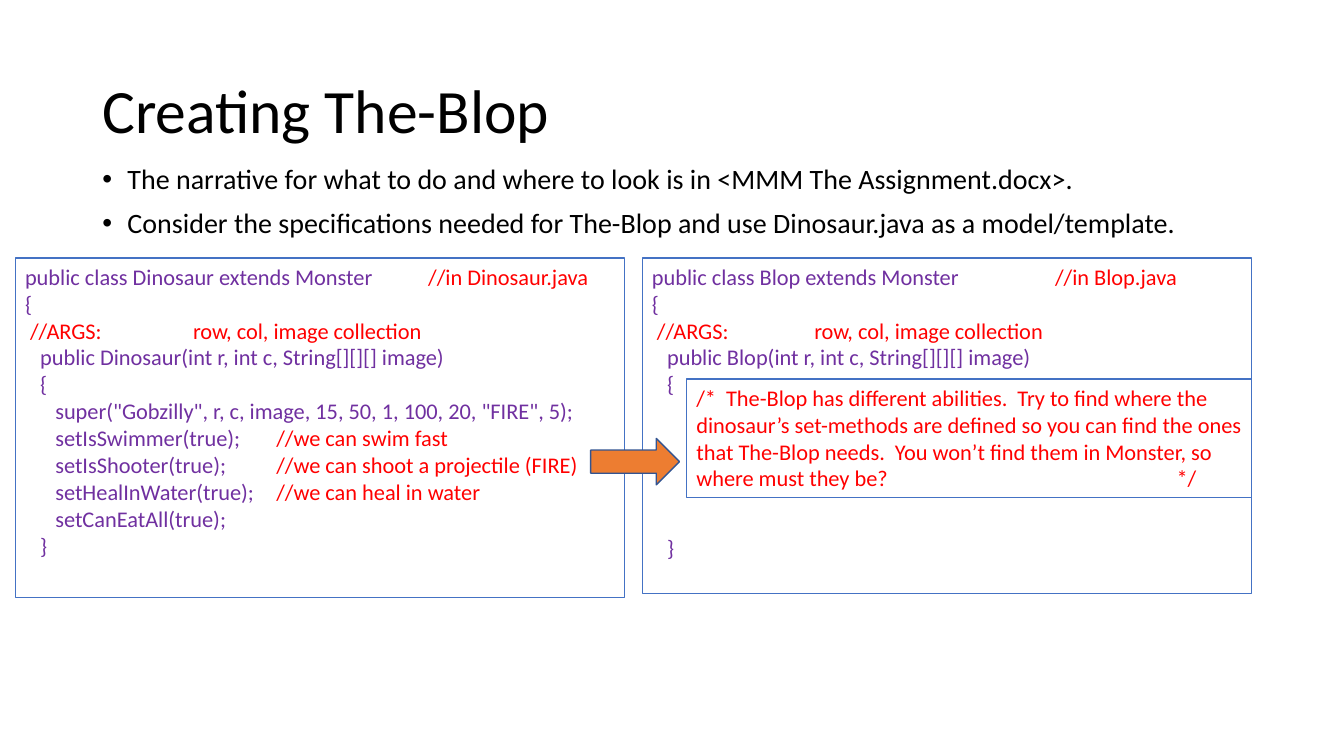
"""Builds the slide "Creating The-Blop" with two code panels and a hint."""
from lxml import etree
from pptx import Presentation
from pptx import util as u
from pptx.dml.color import RGBColor
from pptx.enum import shapes, text
from pptx.oxml import ns

FONT = "Calibri"
BLACK, PURPLE, RED = "000000", "7030A0", "FF0000"
BLUE, ORANGE, NAVY = "4472C4", "ED7D31", "325491"

TITLE = "Creating The-Blop"
BULLETS = [
    "The narrative for what to do and where to look is in <MMM The Assignment.docx>.",
    "Consider the specifications needed for The-Blop and use Dinosaur.java as a model/template.",
]
# Each code line: code, comment, tab stop, space before
DINOSAUR = [
    ("public class Dinosaur extends Monster\t", "//in Dinosaur.java", 288, 0),
    ("{", "", 0, 0),
    ("", " //ARGS:\trow, col, image collection", 120, 0),
    ("   public Dinosaur(int r, int c, String[][][] image)", "", 0, 0),
    ("   {", "", 0, 0),
    ('      super("Gobzilly", r, c, image, 15, 50, 1, 100, 20, "FIRE", 5);', "", 0, 0),
    ("      setIsSwimmer(true);\t", "//we can swim fast", 179.5, 0),
    ("      setIsShooter(true);\t", "//we can shoot a projectile (FIRE)", 179.5, 0),
    ("      setHealInWater(true);\t", "//we can heal in water", 179.5, 0),
    ("      setCanEatAll(true);", "", 0, 0),
    ("   }", "", 0, 0),
]
BLOP = [
    ("public class Blop extends Monster\t", "//in Blop.java", 288, 0),
    ("{", "", 0, 0),
    ("", " //ARGS:\trow, col, image collection", 116, 0),
    ("   public Blop(int r, int c, String[][][] image)", "", 0, 0),
    ("   {", "", 0, 0),
    ("   }", "", 0, 97.6),
]
HINT = [("", "/*  The-Blop has different abilities.  Try to find where the dinosaur’s "
         "set-methods are defined so you can find the ones that The-Blop needs.  "
         "You won’t find them in Monster, so where must they be?\t*/", 343, 0)]
PANELS = [
    (DINOSAUR, (10.8, 184.3, 435.6, 242.6)),
    (BLOP, (458.6, 184.3, 435.6, 239.8)),
    (HINT, (490.3, 270.7, 403.9, 85)),
]
ARROW = (421.9, 313.2, 63.4, 33.1)


def colour(value):
    return RGBColor.from_string(value)


def place(box):
    return [u.Pt(length) for length in box]


def style(font, size, shade):
    font.name, font.size = FONT, u.Pt(size)
    font.color.rgb = colour(shade)


def add_outlined(kind, box, line, width):
    shape = slide.shapes.add_shape(kind, *place(box))
    shape.shadow.inherit = False
    shape.line.color.rgb = colour(line)
    shape.line.width = u.Pt(width)
    return shape


def add_paragraph(frame, index):
    return frame.add_paragraph() if index else frame.paragraphs[0]


def add_textbox(box, anchor):
    frame = slide.shapes.add_textbox(*place(box)).text_frame
    frame.word_wrap = True
    frame.vertical_anchor = anchor
    return frame


def add_panel(lines, box):
    panel = add_outlined(shapes.MSO_SHAPE.RECTANGLE, box, BLUE, 0.75)
    panel.fill.background()
    frame = panel.text_frame
    frame.word_wrap = True
    frame.vertical_anchor = text.MSO_ANCHOR.TOP
    for index, (code, comment, stop, gap) in enumerate(lines):
        line = add_paragraph(frame, index)
        line.alignment = text.PP_ALIGN.LEFT
        if gap:
            line.space_before = u.Pt(gap)
        if stop:
            tabs = etree.SubElement(line._p.get_or_add_pPr(), ns.qn("a:tabLst"))
            etree.SubElement(tabs, ns.qn("a:tab"), pos=str(u.Pt(stop)), algn="l")
        style(line.font, 16, PURPLE if code else RED)
        for part, shade in ((code, PURPLE), (comment, RED)):
            if part:
                run = line.add_run()
                run.text = part
                style(run.font, 16, shade)


deck = Presentation()
deck.slide_width, deck.slide_height = u.Pt(960), u.Pt(540)
slide = deck.slides.add_slide(deck.slide_layouts[6])

heading = add_textbox((66, 28.8, 828, 104.4), text.MSO_ANCHOR.MIDDLE).paragraphs[0]
heading.text = TITLE
heading.line_spacing = 0.9
style(heading.font, 44, BLACK)

body = add_textbox((66, 114.5, 828, 69.8), text.MSO_ANCHOR.TOP)
for index, bullet in enumerate(BULLETS):
    point = add_paragraph(body, index)
    point.text = bullet
    point.line_spacing = 0.9
    if index:
        point.space_before = u.Pt(10)
    props = point._p.get_or_add_pPr()
    props.set("marL", str(u.Pt(18)))
    props.set("indent", str(u.Pt(-18)))
    etree.SubElement(props, ns.qn("a:buFont"), typeface="Arial")
    etree.SubElement(props, ns.qn("a:buChar"), char="•")
    style(point.font, 20, BLACK)

for lines, box in PANELS:
    add_panel(lines, box)

arrow = add_outlined(shapes.MSO_SHAPE.RIGHT_ARROW, ARROW, NAVY, 1)
arrow.fill.solid()
arrow.fill.fore_color.rgb = colour(ORANGE)

deck.save("out.pptx")
